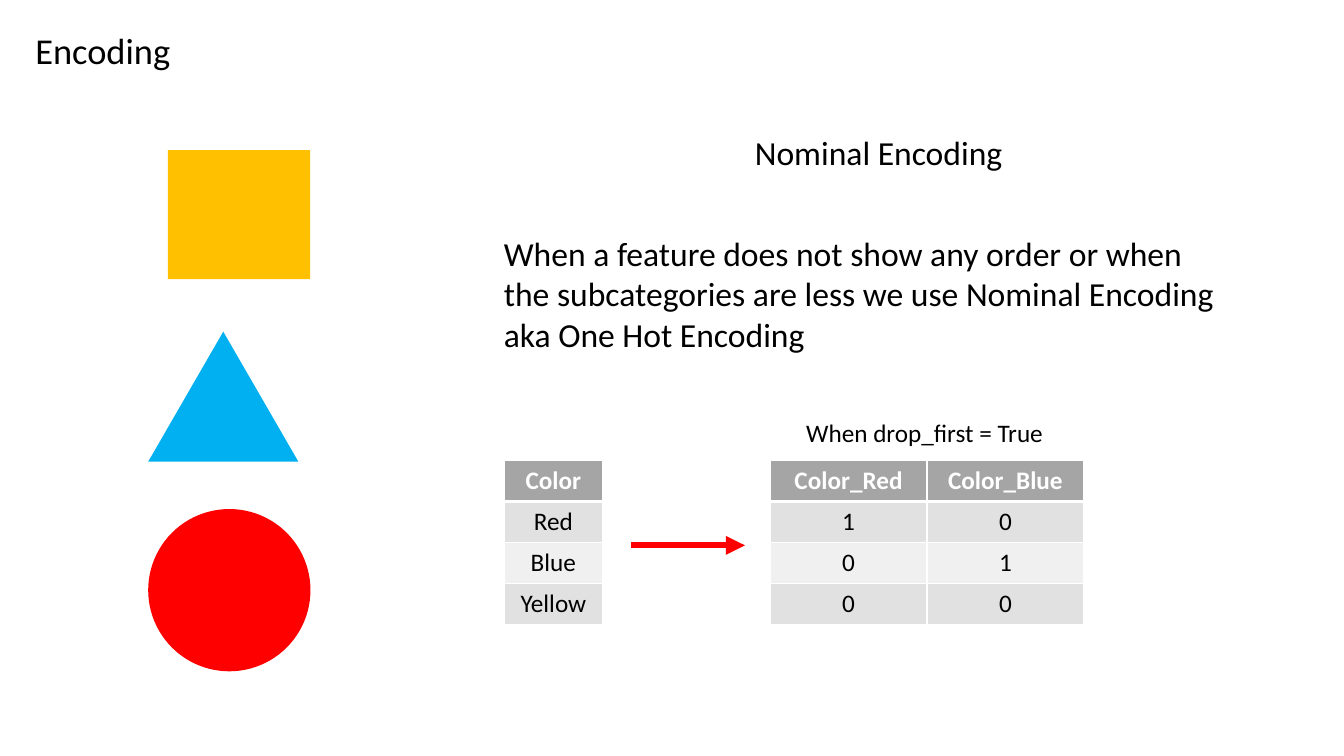
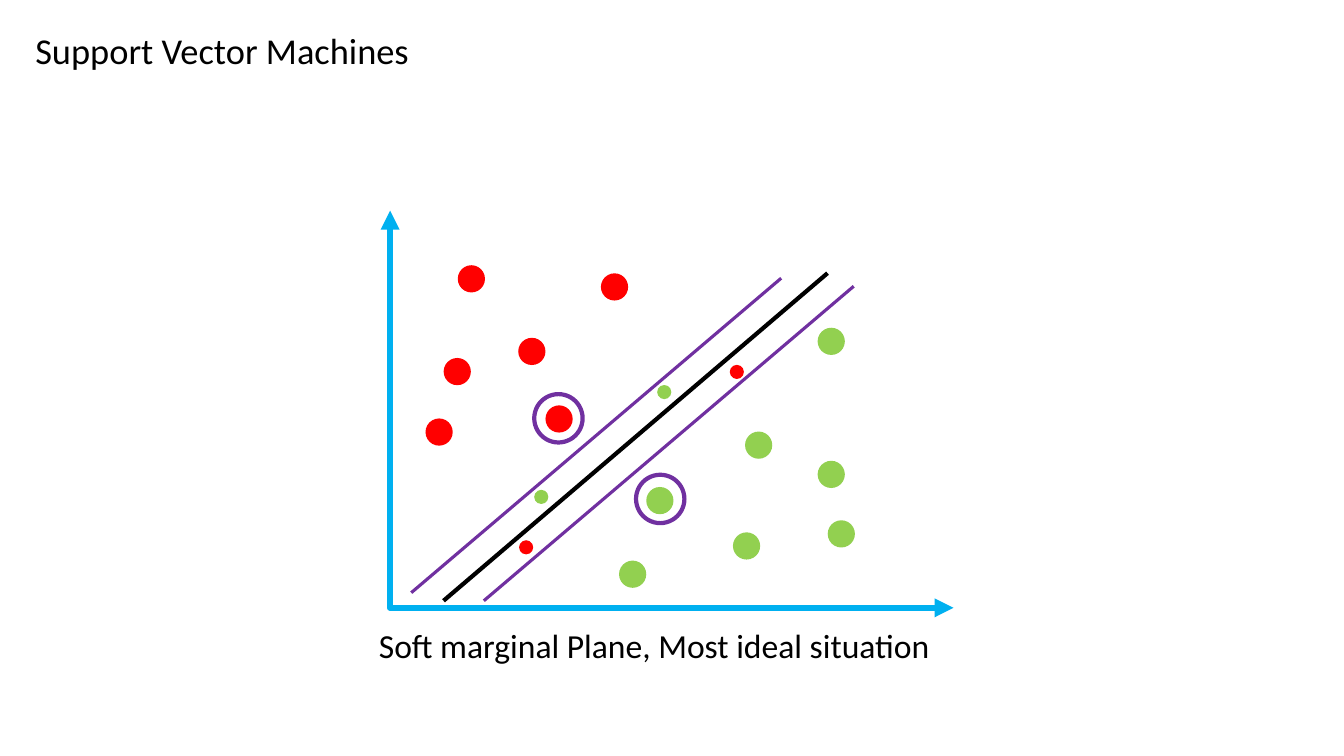
from dataclasses import dataclass

from lxml import etree
from pptx import Presentation
from pptx.dml.color import RGBColor
from pptx.enum.shapes import MSO_CONNECTOR, MSO_SHAPE
from pptx.enum.text import MSO_ANCHOR, MSO_AUTO_SIZE, PP_ALIGN
from pptx.oxml.ns import qn
from pptx.util import Inches, Pt

RECTANGLE, TRIANGLE, OVAL = MSO_SHAPE.RECTANGLE, MSO_SHAPE.ISOSCELES_TRIANGLE, MSO_SHAPE.OVAL
STRAIGHT, ELBOW = MSO_CONNECTOR.STRAIGHT, MSO_CONNECTOR.ELBOW
LEFT, CENTER = PP_ALIGN.LEFT, PP_ALIGN.CENTER
TOP, FIXED = MSO_ANCHOR.TOP, MSO_AUTO_SIZE.NONE

# The slide is a grid of 40 columns by 22.5 rows of square cells
COLUMNS, ROWS = 40, 22.5
CELL = Inches(1) / 3
TITLE_ONLY = 5


@dataclass(frozen=True)
class Theme:
    font: str = "Calibri"
    title_size: int = 26
    body_size: int = 24
    small_size: int = 18
    text: str = "000000"
    white: str = "FFFFFF"
    red: str = "FF0000"
    green: str = "92D050"
    blue: str = "00B0F0"
    yellow: str = "FFC000"
    purple: str = "7030A0"
    header: str = "A5A5A5"
    bands: tuple = ("E1E1E1", "F0F0F0")
    title_box: tuple = (0.75, 0.68, 38.5, 1.62)
    arrow_width: float = 4.5


def grid(*lengths):
    return [round(length * CELL) for length in lengths]


def color(code):
    return RGBColor.from_string(code)


class Deck:
    """Holds the theme, the presentation and the current slide."""

    def __init__(self, theme):
        self.theme = theme
        self.presentation = Presentation()
        self.presentation.slide_width, self.presentation.slide_height = grid(COLUMNS, ROWS)
        self.slide = None

    def add_slide(self, title):
        layout = self.presentation.slide_layouts[TITLE_ONLY]
        self.slide = self.presentation.slides.add_slide(layout)
        shape = self.slide.shapes.title
        shape.left, shape.top, shape.width, shape.height = grid(*self.theme.title_box)
        shape.text_frame.text = title
        shape.text_frame.auto_size = FIXED
        shape.text_frame.vertical_anchor = TOP
        self.style_text(shape.text_frame, self.theme.title_size)

    def style_text(self, text_frame, size, code=None, bold=False, align=LEFT):
        for paragraph in text_frame.paragraphs:
            paragraph.alignment = align
            for run in paragraph.runs:
                run.font.name = self.theme.font
                run.font.size = Pt(size)
                run.font.bold = bold
                run.font.color.rgb = color(code or self.theme.text)

    def text(self, box, words, size=None):
        text_frame = self.slide.shapes.add_textbox(*grid(*box)).text_frame
        text_frame.word_wrap = False
        text_frame.text = words
        self.style_text(text_frame, size or self.theme.body_size)

    def shape(self, kind, box, fill=None, outline=None, width=3):
        shape = self.slide.shapes.add_shape(kind, *grid(*box))
        shape.shadow.inherit = False
        if fill:
            shape.fill.solid()
            shape.fill.fore_color.rgb = color(fill)
        else:
            shape.fill.background()
        if outline:
            shape.line.color.rgb = color(outline)
            shape.line.width = Pt(width)
        else:
            shape.line.fill.background()

    def circles(self, centers, diameter, **style):
        for x, y in centers:
            box = (x - diameter / 2, y - diameter / 2, diameter, diameter)
            self.shape(OVAL, box, **style)

    def line(self, start, end, code, width, kind=STRAIGHT, arrows=()):
        connector = self.slide.shapes.add_connector(kind, *grid(*start, *end))
        connector.line.color.rgb = color(code)
        connector.line.width = Pt(width)
        properties = connector._element.spPr
        for arrow in arrows:
            etree.SubElement(properties.find(qn("a:ln")), qn(f"a:{arrow}"), type="triangle")
        etree.SubElement(properties, qn("a:effectLst"))
        if kind == ELBOW:
            # Bend at the starting column, giving one right angle
            adjustments = properties.find(qn("a:prstGeom")).get_or_add_avLst()
            etree.SubElement(adjustments, qn("a:gd"), name="adj1", fmla="val 0")

    def table(self, left, top, column_width, row_height, rows):
        column_count = len(rows[0])
        box = (left, top, column_width * column_count, row_height * len(rows))
        table = self.slide.shapes.add_table(len(rows), column_count, *grid(*box)).table
        for row_index, row in enumerate(rows):
            is_header = row_index == 0
            fill = self.theme.header if is_header else self.theme.bands[(row_index - 1) % 2]
            for column_index, words in enumerate(row):
                cell = table.cell(row_index, column_index)
                cell.text_frame.text = words
                self.style_text(cell.text_frame, self.theme.small_size,
                                self.theme.white if is_header else self.theme.text,
                                is_header, CENTER)
                cell.fill.solid()
                cell.fill.fore_color.rgb = color(fill)
                self.cell_borders(cell, top=3 if row_index == 1 else 1,
                                  bottom=3 if is_header else 1)

    def cell_borders(self, cell, top, bottom):
        properties = cell._tc.get_or_add_tcPr()
        widths = {"lnL": 1, "lnR": 1, "lnT": top, "lnB": bottom}
        for index, (side, width) in enumerate(widths.items()):
            border = etree.Element(qn(f"a:{side}"), w=str(Pt(width)))
            fill = etree.SubElement(border, qn("a:solidFill"))
            etree.SubElement(fill, qn("a:srgbClr"), val=self.theme.white)
            properties.insert(index, border)


def add_encoding(deck):
    theme = deck.theme
    deck.add_slide("Encoding")

    # Coloured shapes on the left
    deck.shape(RECTANGLE, (5, 4.47, 4.23, 3.84), theme.yellow)
    deck.shape(TRIANGLE, (4.41, 9.87, 4.47, 3.87), theme.blue)
    deck.shape(OVAL, (4.41, 15.15, 4.83, 4.83), theme.red)

    # Definition
    deck.text((22.17, 3.78, 8.04, 1.5), "Nominal Encoding")
    deck.text((14.7, 6.78, 21.93, 3.93),
              "When a feature does not show any order or when\v"
              "the subcategories are less we use Nominal Encoding\v"
              "aka One Hot Encoding")

    # Feature column and its encoded columns
    table_top, row_height = 13.71, 1.22
    deck.table(15, table_top, 2.94, row_height, [["Color"], ["Red"], ["Blue"], ["Yellow"]])
    deck.table(22.92, table_top, 4.67, row_height,
               [["Color_Red", "Color_Blue"], ["1", "0"], ["0", "1"], ["0", "0"]])
    deck.line((18.78, 16.23), (22.17, 16.23), theme.red, theme.arrow_width, arrows=["tailEnd"])
    deck.text((23.7, 12.27, 7.74, 1.2), "When drop_first = True", theme.small_size)


def add_support_vector_machines(deck):
    theme = deck.theme
    deck.add_slide("Support Vector Machines")

    # Both axes
    deck.line((11.61, 6.27), (28.38, 18.09), theme.blue, theme.arrow_width, ELBOW,
              ["headEnd", "tailEnd"])

    # Points of the two classes
    point, misplaced_point, ring = 0.81, 0.42, 1.44
    green_points = [(19.64, 14.9), (24.74, 10.16), (24.74, 14.12), (18.83, 17.09),
                    (22.58, 13.25), (25.04, 15.89), (22.22, 16.25)]
    red_points = [(13.61, 11.06), (13.07, 12.86), (16.64, 12.47), (15.83, 10.46),
                  (18.29, 8.54), (14.03, 8.3)]
    deck.circles(green_points, point, fill=theme.green)
    deck.circles(red_points, point, fill=theme.red)

    # Rings around the support vectors
    deck.circles([(16.62, 12.45), (19.65, 14.85)], ring, outline=theme.purple)

    # Margins and separating plane
    deck.line((12.24, 17.64), (23.25, 8.28), theme.purple, 2.25)
    deck.line((14.4, 17.88), (25.41, 8.52), theme.purple, 2.25)
    deck.line((13.2, 17.88), (24.63, 8.13), theme.text, 3)

    # Points inside the margin, on the wrong side
    deck.circles([(15.66, 16.29), (21.93, 11.07)], misplaced_point, fill=theme.red)
    deck.circles([(19.77, 11.67), (16.11, 14.79)], misplaced_point, fill=theme.green)

    deck.text((10.98, 18.45, 17.16, 1.5), "Soft marginal Plane, Most ideal situation")


def main():
    deck = Deck(Theme())
    add_encoding(deck)
    add_support_vector_machines(deck)
    deck.presentation.save("out.pptx")


if __name__ == "__main__":
    main()
